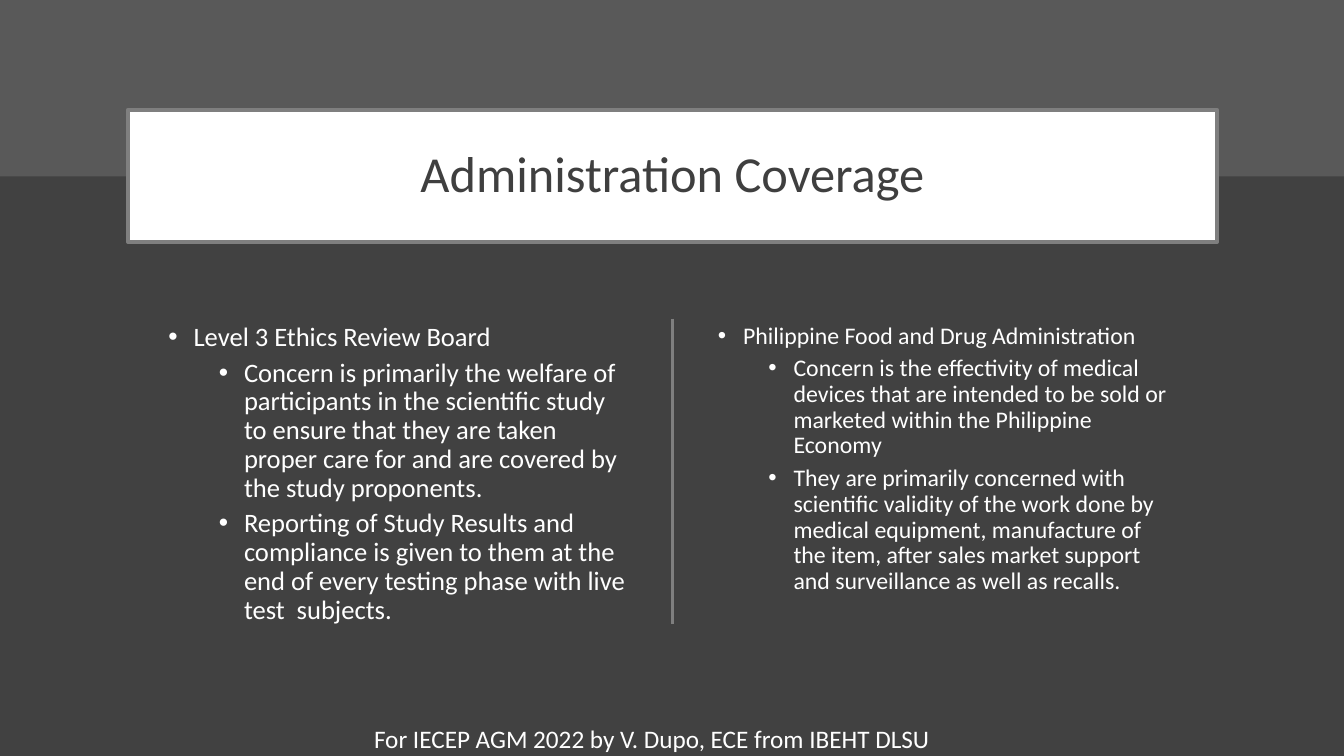
from dataclasses import dataclass

from lxml import etree
from pptx import Presentation
from pptx.dml.color import RGBColor
from pptx.enum.shapes import MSO_CONNECTOR, MSO_SHAPE
from pptx.enum.text import MSO_ANCHOR, MSO_AUTO_SIZE, PP_ALIGN
from pptx.oxml.ns import qn
from pptx.util import Inches, Pt

RECTANGLE = MSO_SHAPE.RECTANGLE
STRAIGHT = MSO_CONNECTOR.STRAIGHT
TOP, MIDDLE = MSO_ANCHOR.TOP, MSO_ANCHOR.MIDDLE
LEFT, CENTER = PP_ALIGN.LEFT, PP_ALIGN.CENTER
NO_AUTOFIT = MSO_AUTO_SIZE.NONE

FONT = "Calibri"
WHITE, DARK, BAND, GRAY, INK = "FFFFFF", "414141", "595959", "7F7F7F", "3F3F3F"
SLIDE_WIDTH, SLIDE_HEIGHT = 13.33, 7.5
COLUMN_TOP, COLUMN_HEIGHT = 3.16, 3.24
BULLET_INDENT, LEVEL_STEP = 0.25, 0.5


@dataclass
class Column:
    left: float
    width: float
    size: int
    heading: str
    points: list[str]


COLUMNS = [
    Column(1.62, 4.7, 19, "Level 3 Ethics Review Board", [
        "Concern is primarily the welfare of participants in the scientific study to ensure "
        "that they are taken proper care for and are covered by the study proponents.",
        "Reporting of Study Results and compliance is given to them at the end of every "
        "testing phase with live test  subjects.",
    ]),
    Column(7.07, 4.59, 17, "Philippine Food and Drug Administration", [
        "Concern is the effectivity of medical devices that are intended to be sold or "
        "marketed within the Philippine Economy",
        "They are primarily concerned with scientific validity of the work done by medical "
        "equipment, manufacture of the item, after sales market support and surveillance "
        "as well as recalls.",
    ]),
]


def color(value: str) -> RGBColor:
    return RGBColor.from_string(value)


def set_fill(fill, value: str) -> None:
    fill.solid()
    fill.fore_color.rgb = color(value)


def set_line(line, value: str, width: float) -> None:
    set_fill(line.fill, value)
    line.width = Pt(width)


def place(shape, left: float, top: float, width: float, height: float) -> None:
    box = {"left": left, "top": top, "width": width, "height": height}
    for name, value in box.items():
        setattr(shape, name, Inches(value))


def format_frame(shape, anchor=TOP):
    frame = shape.text_frame
    values = {"word_wrap": True, "auto_size": NO_AUTOFIT, "vertical_anchor": anchor}
    for side in ("left", "right", "top", "bottom"):
        values[f"margin_{side}"] = Inches(0.05)
    for name, value in values.items():
        setattr(frame, name, value)
    return frame


def write(paragraph, text: str, size: float, text_color: str, **formats) -> None:
    for name, value in formats.items():
        setattr(paragraph, name, value)
    run = paragraph.add_run()
    run.text = text
    for name, value in {"name": FONT, "size": Pt(size), "bold": False}.items():
        setattr(run.font, name, value)
    run.font.color.rgb = color(text_color)


def add_bullet(paragraph, level: int) -> None:
    paragraph.level = level
    properties = paragraph._p.get_or_add_pPr()
    properties.set("marL", str(Inches(BULLET_INDENT + level * LEVEL_STEP)))
    properties.set("indent", str(-Inches(BULLET_INDENT)))
    etree.SubElement(properties, qn("a:buFont")).set("typeface", "Arial")
    etree.SubElement(properties, qn("a:buChar")).set("char", "•")


def fill_column(placeholder, column: Column) -> None:
    place(placeholder, column.left, COLUMN_TOP, column.width, COLUMN_HEIGHT)
    frame = format_frame(placeholder)
    for index, text in enumerate([column.heading, *column.points]):
        paragraph = frame.add_paragraph() if index else frame.paragraphs[0]
        add_bullet(paragraph, min(index, 1))
        write(paragraph, text, column.size, WHITE, alignment=LEFT,
              line_spacing=0.9, space_before=Pt(5 if index else 0))


def main() -> None:
    presentation = Presentation()
    presentation.slide_width = Inches(SLIDE_WIDTH)
    presentation.slide_height = Inches(SLIDE_HEIGHT)
    slide = presentation.slides.add_slide(presentation.slide_layouts[3])
    shapes = slide.shapes
    title, *bodies = slide.placeholders

    # Background with the lighter band behind everything
    set_fill(slide.background.fill, DARK)
    band = shapes.add_shape(RECTANGLE, 0, 0, Inches(SLIDE_WIDTH), Inches(1.75))
    band.shadow.inherit = False
    set_fill(band.fill, BAND)
    band.line.fill.background()
    title.element.addprevious(band.element)

    # Title box
    place(title, 1.27, 1.09, 10.8, 1.31)
    set_fill(title.fill, WHITE)
    set_line(title.line, GRAY, 3)
    write(format_frame(title, MIDDLE).paragraphs[0], "Administration Coverage", 36, INK,
          alignment=CENTER, line_spacing=0.9)

    # Two lists and the divider between them
    for placeholder, column in zip(bodies, COLUMNS):
        fill_column(placeholder, column)
    middle = Inches(6.67)
    divider = shapes.add_connector(STRAIGHT, middle, Inches(COLUMN_TOP), middle, Inches(6.19))
    set_line(divider.line, GRAY, 1.5)
    etree.SubElement(divider.element.spPr, qn("a:effectLst"))

    # Footer credit
    footer = shapes.add_textbox(Inches(3.66), Inches(7.13), Inches(6.57), Inches(0.36))
    write(format_frame(footer).paragraphs[0],
          "For IECEP AGM 2022 by V. Dupo, ECE from IBEHT DLSU", 18, WHITE)

    presentation.save("out.pptx")


if __name__ == "__main__":
    main()
